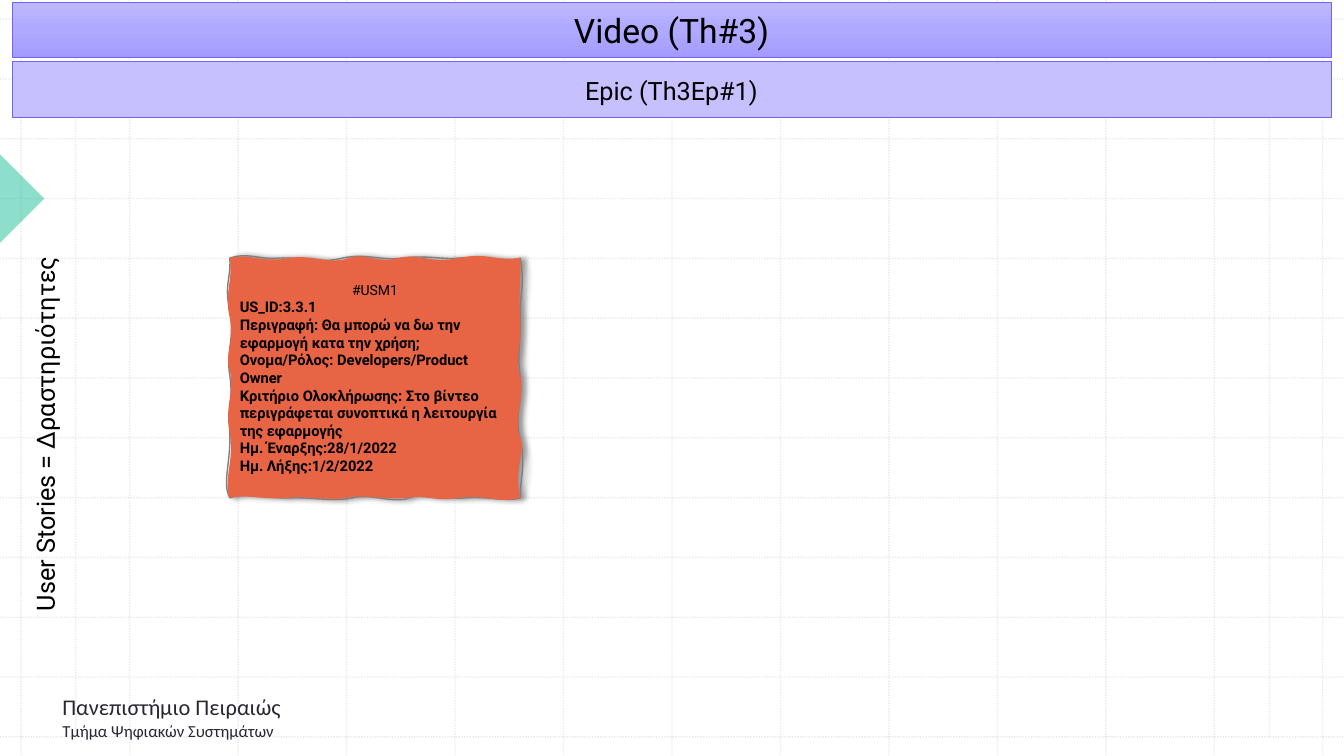
from copy import deepcopy
from dataclasses import dataclass

from lxml import etree
from pptx import Presentation
from pptx.dml.color import RGBColor
from pptx.enum.dml import MSO_LINE
from pptx.enum.shapes import MSO_CONNECTOR, MSO_SHAPE
from pptx.enum.text import MSO_ANCHOR, MSO_AUTO_SIZE, PP_ALIGN
from pptx.oxml.ns import qn
from pptx.util import Inches, Pt

LEFT, CENTER = PP_ALIGN.LEFT, PP_ALIGN.CENTER
TOP, MIDDLE = MSO_ANCHOR.TOP, MSO_ANCHOR.MIDDLE
NO_FIT = MSO_AUTO_SIZE.NONE
DOTTED = MSO_LINE.ROUND_DOT
STRAIGHT = MSO_CONNECTOR.STRAIGHT
RECTANGLE, RIGHT_TRIANGLE = MSO_SHAPE.RECTANGLE, MSO_SHAPE.RIGHT_TRIANGLE

BLACK = RGBColor(0x00, 0x00, 0x00)
INK = RGBColor(0x2A, 0x27, 0x35)
GRID_GRAY = RGBColor(0xBC, 0xBC, 0xBC)
EDGE_GRAY = RGBColor(0x80, 0x80, 0x80)
GREEN = RGBColor(0x1E, 0xBE, 0x9B)
LILAC = RGBColor(0xC6, 0xC0, 0xFF)
VIOLET = RGBColor(0x71, 0x62, 0xFE)
ORANGE = RGBColor(0xE7, 0x64, 0x45)
THEME_GRADIENT = (
    (0.0, RGBColor(0xBE, 0xB9, 0xFF)),
    (0.5, RGBColor(0xAF, 0xA9, 0xFF)),
    (1.0, RGBColor(0xA3, 0x9B, 0xFF)),
)

WIDTH, HEIGHT = 13.33, 7.5
GRID_LEFT, GRID_RIGHT, GRID_TOP, GRID_BOTTOM = 0.21, 13.12, 0.19, 7.31
GRID_CELLS = 12

NOTE_LEFT, NOTE_TOP, NOTE_RIGHT, NOTE_BOTTOM = 2.28, 2.56, 5.16, 4.94
NOTE_EDGE = (
    (2.47, 2.5, 2.56, 2.58, 2.77, 2.56), (2.97, 2.55, 3.17, 2.62, 3.4, 2.56),
    (3.63, 2.51, 3.77, 2.59, 4, 2.56), (4.24, 2.53, 4.42, 2.58, 4.55, 2.56),
    (4.68, 2.55, 5, 2.62, 5.16, 2.56), (5.21, 2.85, 5.15, 2.9, 5.16, 3.18),
    (5.16, 3.46, 5.13, 3.5, 5.16, 3.75), (5.18, 4, 5.1, 4.11, 5.16, 4.37),
    (5.22, 4.62, 5.15, 4.8, 5.16, 4.94), (5.03, 4.98, 4.82, 4.92, 4.61, 4.94),
    (4.4, 4.96, 4.22, 4.87, 4.06, 4.94), (3.9, 5, 3.68, 4.89, 3.49, 4.94),
    (3.29, 4.98, 3.1, 4.93, 2.88, 4.94), (2.66, 4.95, 2.47, 4.87, 2.28, 4.94),
    (2.2, 4.8, 2.29, 4.59, 2.28, 4.3), (2.27, 4, 2.31, 3.94, 2.28, 3.73),
    (2.24, 3.51, 2.33, 3.35, 2.28, 3.08), (2.22, 2.82, 2.29, 2.79, 2.28, 2.56),
)
NOTE_FACE = (
    (2.47, 2.51, 2.6, 2.61, 2.85, 2.56), (3.1, 2.52, 3.29, 2.63, 3.46, 2.56),
    (3.62, 2.5, 3.73, 2.62, 3.95, 2.56), (4.16, 2.51, 4.26, 2.62, 4.55, 2.56),
    (4.84, 2.5, 4.87, 2.59, 5.16, 2.56), (5.17, 2.74, 5.14, 2.92, 5.16, 3.2),
    (5.17, 3.49, 5.1, 3.58, 5.16, 3.73), (5.21, 3.88, 5.09, 4.21, 5.16, 4.34),
    (5.22, 4.47, 5.09, 4.65, 5.16, 4.94), (4.94, 5, 4.8, 4.9, 4.55, 4.94),
    (4.3, 4.98, 4.27, 4.91, 4.03, 4.94), (3.8, 4.96, 3.57, 4.9, 3.43, 4.94),
    (3.28, 4.97, 3.07, 4.92, 2.85, 4.94), (2.63, 4.96, 2.42, 4.9, 2.28, 4.94),
    (2.21, 4.77, 2.33, 4.54, 2.28, 4.3), (2.22, 4.06, 2.33, 3.87, 2.28, 3.68),
    (2.22, 3.49, 2.33, 3.41, 2.28, 3.16), (2.22, 2.9, 2.31, 2.82, 2.28, 2.56),
)


@dataclass
class Para:
    text: str
    size: float
    bold: bool = False
    align: PP_ALIGN = LEFT
    line_spacing: float = 1.0
    after: float = 0


STORY = [Para("#USM1", 10, align=CENTER)] + [
    Para(text, 10.5, bold=True)
    for text in (
        "US_ID:3.3.1",
        "Περιγραφή: Θα μπορώ να δω την εφαρμογή κατα την χρήση;",
        "Ονομα/Ρόλος: Developers/Product Owner",
        "Κριτήριο Ολοκλήρωσης: Στο βίντεο περιγράφεται συνοπτικά η λειτουργία της εφαρμογής",
        "Ημ. Έναρξης:28/1/2022",
        "Ημ. Λήξης:1/2/2022",
    )
]


def apply(target: object, values: dict) -> None:
    for name, value in values.items():
        setattr(target, name, value)


def write(box, paras: list[Para], font: str = "Roboto",
          color: RGBColor = BLACK, anchor: MSO_ANCHOR = MIDDLE) -> None:
    frame = box.text_frame
    apply(frame, {"word_wrap": True, "auto_size": NO_FIT, "vertical_anchor": anchor})
    for index, para in enumerate(paras):
        line = frame.add_paragraph() if index else frame.paragraphs[0]
        apply(line, {"alignment": para.align, "line_spacing": para.line_spacing,
                     "space_before": Pt(0), "space_after": Pt(para.after)})
        span = line.add_run()
        span.text = para.text
        apply(span.font, {"name": font, "size": Pt(para.size), "bold": para.bold})
        span.font.color.rgb = color


def outline(shape, color: RGBColor, width: float) -> None:
    shape.line.color.rgb = color
    shape.line.width = Pt(width)


def set_alpha(shape, percent: int) -> None:
    color = shape._element.spPr.find(f".//{qn('a:srgbClr')}")
    etree.SubElement(color, qn("a:alpha")).set("val", str(percent * 1000))


def add_grid_line(grid, x1: float, y1: float, x2: float, y2: float) -> None:
    line = grid.shapes.add_connector(STRAIGHT, *map(Inches, (x1, y1, x2, y2)))
    outline(line, GRID_GRAY, 1)
    line.line.dash_style = DOTTED
    set_alpha(line, 30)
    etree.SubElement(line._element.spPr, qn("a:effectLst"))


def add_grid(page):
    grid = page.shapes.add_group_shape()
    for index in range(GRID_CELLS + 1):
        x = GRID_LEFT + index * (GRID_RIGHT - GRID_LEFT) / GRID_CELLS
        y = GRID_TOP + index * (GRID_BOTTOM - GRID_TOP) / GRID_CELLS
        add_grid_line(grid, x, 0, x, HEIGHT)
        add_grid_line(grid, 0, y, WIDTH, y)
    for x in (0.75, 12.59):
        add_grid_line(grid, x, GRID_TOP, x, GRID_BOTTOM)
    return grid


def add_solid(page, kind: MSO_SHAPE, place: tuple, color: RGBColor):
    shape = page.shapes.add_shape(kind, *map(Inches, place))
    shape.shadow.inherit = False
    shape.fill.solid()
    shape.fill.fore_color.rgb = color
    return shape


def add_backdrop(page) -> None:
    grid = add_grid(page)
    arrow = add_solid(page, RIGHT_TRIANGLE, (-0.31, 1.66, 0.62, 0.62), GREEN)
    arrow.rotation = 225
    arrow.line.fill.background()
    set_alpha(arrow, 50)
    for part in (grid, arrow):
        page.slide_layout.shapes._spTree.append(part._element)


def add_text(page, place: tuple, paras: list[Para], **style):
    box = page.shapes.add_textbox(*map(Inches, place))
    write(box, paras, **style)
    return box


def add_theme_bar(page) -> None:
    bar = page.shapes.title
    apply(bar, dict(zip(("left", "top", "width", "height"),
                        map(Inches, (0.12, 0.02, 13.08, 0.55)))))
    bar.fill.gradient()
    bar.fill.gradient_angle = 270
    stops = bar._element.spPr.find(f".//{qn('a:gsLst')}")
    stops.append(deepcopy(stops[0]))
    for stop, (position, color) in zip(bar.fill.gradient_stops, THEME_GRADIENT):
        stop.position = position
        stop.color.rgb = color
    outline(bar, VIOLET, 0.5)
    write(bar, [Para("Video (Th#3)", 24, align=CENTER)])
    page.shapes._spTree.append(bar._element)


def add_point(parent, x: float, y: float) -> None:
    etree.SubElement(parent, qn("a:pt"), x=str(Inches(x - NOTE_LEFT)), y=str(Inches(y - NOTE_TOP)))


def add_contour(contours, curves: tuple, **paint: str) -> None:
    contour = etree.SubElement(
        contours, qn("a:path"), w=str(Inches(NOTE_RIGHT - NOTE_LEFT)),
        h=str(Inches(NOTE_BOTTOM - NOTE_TOP)), **paint)
    add_point(etree.SubElement(contour, qn("a:moveTo")), NOTE_LEFT, NOTE_TOP)
    for curve in curves:
        bezier = etree.SubElement(contour, qn("a:cubicBezTo"))
        for x, y in zip(curve[::2], curve[1::2]):
            add_point(bezier, x, y)
    etree.SubElement(contour, qn("a:close"))


def add_note(page) -> None:
    builder = page.shapes.build_freeform(Inches(NOTE_LEFT), Inches(NOTE_TOP))
    builder.add_line_segments([
        (Inches(x), Inches(y)) for x, y in (
            (NOTE_RIGHT, NOTE_TOP), (NOTE_RIGHT, NOTE_BOTTOM), (NOTE_LEFT, NOTE_BOTTOM))])
    note = builder.convert_to_shape()
    contours = note._element.spPr.find(f".//{qn('a:pathLst')}")
    contours.remove(contours[0])
    add_contour(contours, NOTE_EDGE, fill="none")
    add_contour(contours, NOTE_FACE, stroke="0")
    note.shadow.inherit = False
    note.fill.solid()
    note.fill.fore_color.rgb = ORANGE
    outline(note, EDGE_GRAY, 1)
    effects = note._element.spPr.find(qn("a:effectLst"))
    shadow = etree.SubElement(effects, qn("a:outerShdw"), blurRad=str(Pt(4)), dist=str(Pt(3)), dir="0")
    color = etree.SubElement(shadow, qn("a:srgbClr"), val=str(BLACK))
    etree.SubElement(color, qn("a:alpha"), val="40000")
    write(note, STORY)


def main() -> None:
    deck = Presentation()
    apply(deck, {"slide_width": Inches(WIDTH), "slide_height": Inches(HEIGHT)})
    page = deck.slides.add_slide(deck.slide_layouts[5])
    add_backdrop(page)
    epic = add_solid(page, RECTANGLE, (0.12, 0.61, 13.08, 0.55), LILAC)
    outline(epic, VIOLET, 0.5)
    spaced = {"align": CENTER, "line_spacing": 1.07, "after": 8}
    write(epic, [Para("Epic (Th3Ep#1)", 18, **spaced)])
    stories = add_text(page, (0.12, 1.24, 0.63, 6.13),
                       [Para("User Stories = Δραστηριότητες", 18, **spaced)])
    stories.text_frame._txBody.bodyPr.set("vert", "vert270")
    add_theme_bar(page)
    add_text(page, (0.52, 6.83, 2.98, 0.63),
             [Para("Πανεπιστήμιο Πειραιώς", 16), Para("Τμήμα Ψηφιακών Συστημάτων", 12)],
             font="Calibri", color=INK, anchor=TOP)
    add_note(page)
    deck.save("out.pptx")


if __name__ == "__main__":
    main()
